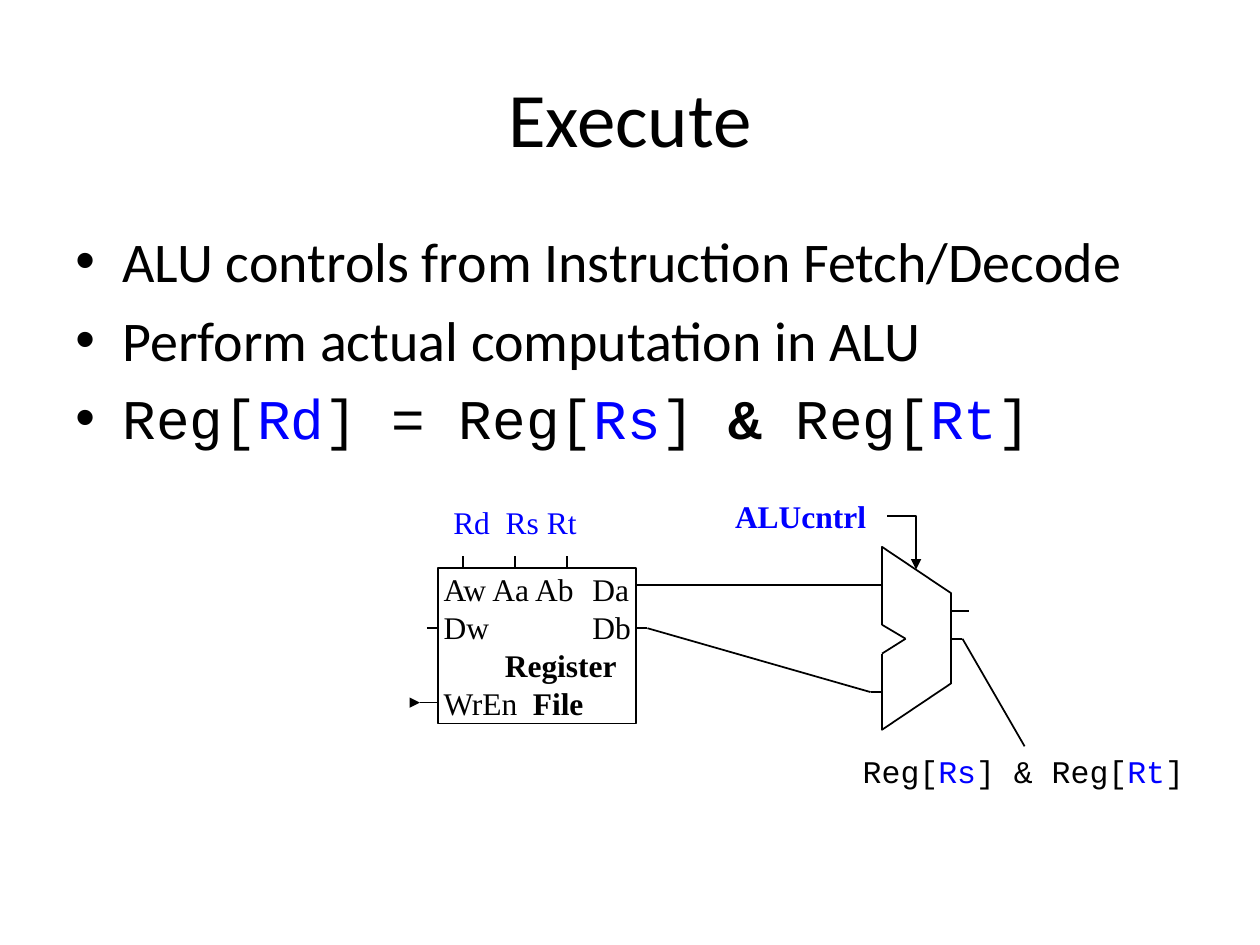
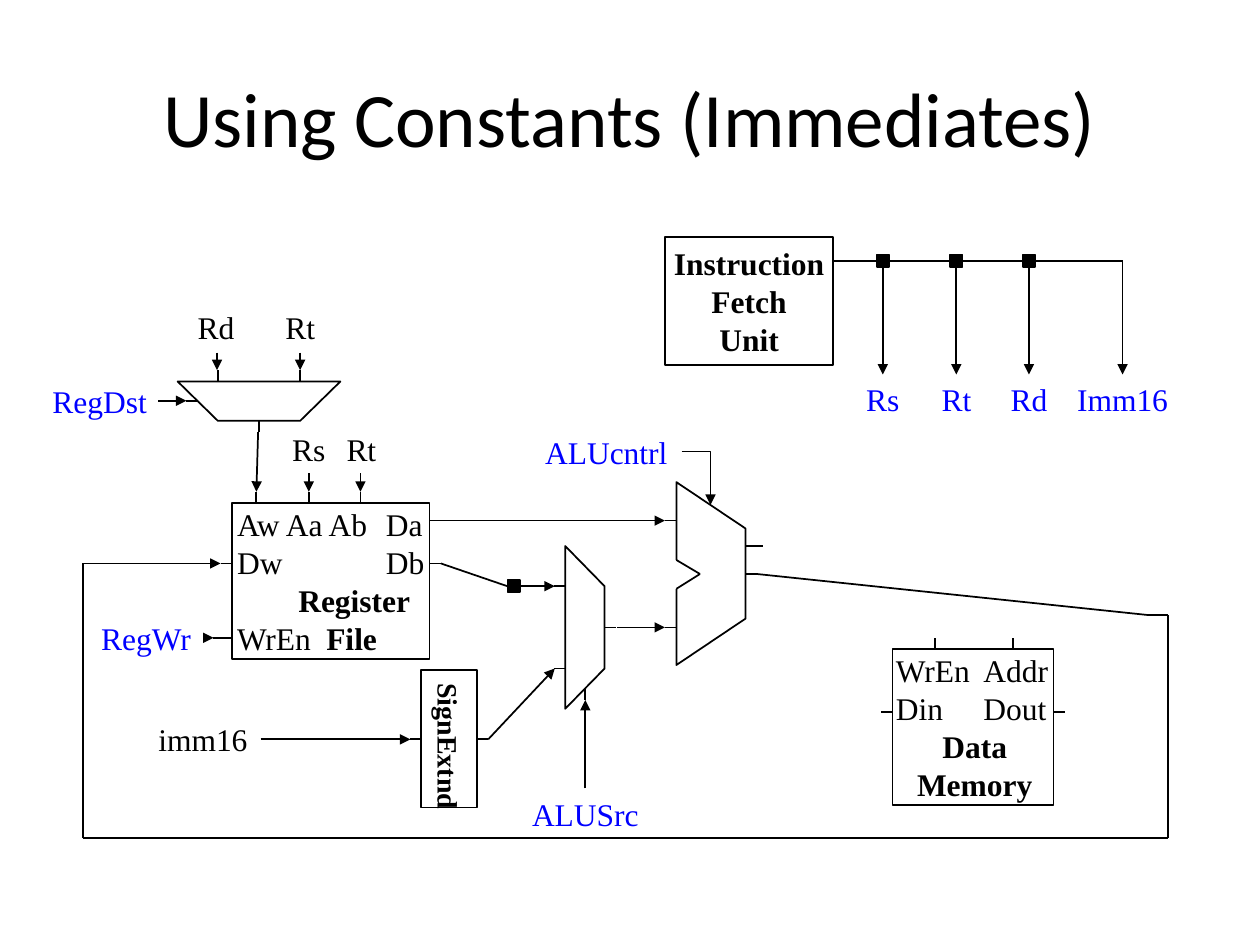
from itertools import pairwise

from pptx import Presentation
from pptx.dml.color import RGBColor
from pptx.enum.shapes import MSO_CONNECTOR as LINK, MSO_SHAPE as SHAPE
from pptx.enum.text import MSO_ANCHOR as ANCHOR, PP_ALIGN as ALIGN
from pptx.oxml.ns import qn
from pptx.util import Pt
from lxml.etree import SubElement

COLORS = {"ink": "000000", "signal": "0000FF", "paper": "FFFFFF"}
SERIF, SANS, MONO = "Times New Roman", "Calibri", "Courier New"

# Text styles of single runs
PLAIN = {}
BOLD = {"bold": True}
BLUE = {"color": "signal"}
BLUE_BOLD = BLUE | BOLD
CODE = {"name": MONO}
CODE_BLUE = CODE | BLUE
CODE_BOLD = CODE | BOLD

# Boxes: size, text lines as (tab stop or None for centred, runs), and pins;
# pins are (x1, y1, x2, y2) from the top left corner of the part
REGISTER_FILE = {
    "size": (113, 89),
    "left_margin": 3,
    "lines": [
        (85, [("Aw Aa Ab\tDa", PLAIN)]),
        (85, [("Dw\tDb", PLAIN)]),
        (35, [("\tRegister", BOLD)]),
        (51, [("WrEn\t", PLAIN), ("File", BOLD)]),
    ],
    "pins": [(x, 0, x, -6.5) for x in (14, 44, 73.5)] + [
        (113, 10, 119.5, 10), (113, 34.5, 119.5, 34.5),
        (-6.5, 34.5, 0, 34.5), (-10.5, 77, 0, 77),
    ],
}
DATA_MEMORY = {
    "size": (92, 89),
    "left_margin": 2,
    "lines": [
        (50, [("WrEn\tAddr", PLAIN)]),
        (50, [("Din\tDout", PLAIN)]),
        (None, [("Data", BOLD)]),
        (None, [("Memory", BOLD)]),
    ],
    "pins": [(24.5, 0, 24.5, -6.5), (69, 0, 69, -6.5),
             (-6.5, 36, 0, 36), (92, 36, 98.5, 36)],
}
FETCH_UNIT = {
    "size": (96, 73),
    "lines": [(None, [(word, BOLD)]) for word in ("Instruction", "Fetch", "Unit")],
    "pins": [(96, 13.5, 102.5, 13.5)],
}
SIGN_EXTEND = {
    "size": (32, 78.5),
    "top_margin": 7.5,
    "lines": [(None, [("SignExtnd", BOLD)])],
    "pins": [(-6, 39.5, 0, 39.5), (32, 39.5, 38.5, 39.5)],
    "font_size": 16,
    "vertical": True,
}

# Outlined parts
ALU = {
    "outline": [(0, 0), (39.5, 26.5), (39.5, 78), (0, 104.5)],
    "pins": [(-6.5, 22, 0, 22), (-6.5, 83, 0, 83),
             (39.5, 52.5, 46, 52.5), (39.5, 36.5, 49.5, 36.5)],
}
MUX = {
    "outline": [(0, 0), (22.5, 23), (22.5, 70), (0, 93)],
    "pins": [(22.5, 46.5, 29, 46.5), (-6.5, 23, 0, 23), (-6.5, 70, 0, 70)],
}
MUX_DOWN = {
    "outline": [(y, x) for x, y in MUX["outline"]],
    "pins": [(y1, x1, y2, x2) for x1, y1, x2, y2 in MUX["pins"]],
}
ALU_CONTROL = ((3, -17.5), (19.5, 13))
ALU_NOTCH = ((0, 44.5), (13.5, 52.5), (0, 61))

BULLETS = [
    [("ALU controls from Instruction Fetch/Decode", PLAIN)],
    [("Perform actual computation in ALU", PLAIN)],
    [("Reg[", CODE), ("Rd", CODE_BLUE), ("] = Reg[", CODE), ("Rs", CODE_BLUE),
     ("]", CODE), (" & ", CODE_BOLD), ("Reg[", CODE), ("Rt", CODE_BLUE), ("]", CODE)],
]
RESULT = [("Reg[", CODE), ("Rs", CODE_BLUE), ("] & Reg[", CODE),
          ("Rt", CODE_BLUE), ("]", CODE)]

# Bus of the fetch unit: field name, x of its tap, label width
BUS_Y, TAP_END = 149, 214
FIELDS = [("Rs", 504.5, 34), ("Rt", 546.5, 32), ("Rd", 588, 35), ("Imm16", 641.5, 66)]
BUS_STOPS = [482.5] + [x for _, x, _ in FIELDS[:-1]] + [631.5, FIELDS[-1][1]]

SLIDES = [
    {
        "title": "Execute",
        "boxes": [(REGISTER_FILE, 250.5, 324.5)],
        "outlined": [(ALU, 504, 312.5)],
        "wires": [
            [(370, 334.5), (497.5, 334.5)],
            [(370, 359), (497.5, 395.5)],
            [(585.5, 426.5), (550, 365)],
        ],
        "arrows": [[(234.5, 401.5), (240, 401.5)]],
        "dots": [],
        # text, centre x, top, width, style
        "labels": [("ALUcntrl", 457.5, 280.5, 90, BLUE_BOLD)],
    },
    {
        "title": "Using Constants (Immediates)",
        "boxes": [(REGISTER_FILE, 132.5, 287.5), (DATA_MEMORY, 510, 371),
                  (FETCH_UNIT, 380, 135.5), (SIGN_EXTEND, 240.5, 383)],
        "outlined": [(ALU, 386.5, 275.5), (MUX, 323, 312), (MUX_DOWN, 101.5, 218)],
        "wires": [
            [(334.5, 393.5), (334.5, 400)],
            [(106.5, 229), (113, 229)],
            [(x, BUS_Y) for x in BUS_STOPS],
        ],
        "arrows": [
            [(279, 422.5), (317, 382)],
            [(352.5, 358.5), (380, 358.5)],
            [(432.5, 328), (656.5, 351.5), (667.5, 351.5), (667.5, 479), (656.5, 479),
             (58.5, 479), (47.5, 479), (47.5, 322), (58.5, 322), (126, 322)],
            [(149, 422.5), (234.5, 422.5)],
            [(252, 322), (290, 335), (317, 335)],
            [(252, 297.5), (380, 297.5)],
            [(147.5, 247), (146.5, 281)],
            [(176.5, 270.5), (176.5, 281)],
            [(206, 270.5), (206, 281)],
            [(124, 201.5), (124, 211.5)],
            [(171.5, 201.5), (171.5, 211.5)],
            [(334.5, 450.5), (334.5, 400)],
            [(90.5, 229), (106.5, 229)],
            [(116.5, 364.5), (122, 364.5)],
        ] + [[(x, BUS_Y), (x, TAP_END)] for _, x, _ in FIELDS],
        "dots": [(293.5, 335)] + [(x, BUS_Y) for _, x, _ in FIELDS[:-1]],
        "labels": [
            ("Rs", 176.5, 242, 34, PLAIN), ("Rt", 206.5, 242, 32, PLAIN),
            ("Rd", 123.5, 172.5, 35, PLAIN), ("Rt", 171.5, 172.5, 32, PLAIN),
            ("imm16", 116, 408, 66, PLAIN), ("ALUSrc", 334.5, 450.5, 76, BLUE),
            ("RegDst", 57, 214.5, 68, BLUE), ("RegWr", 83.5, 350, 66, BLUE),
            ("ALUcntrl", 346.5, 244, 84, BLUE),
        ] + [(name, x, TAP_END - 0.5, width, BLUE) for name, x, width in FIELDS],
    },
]


def rgb(name):
    return RGBColor.from_string(COLORS[name])


def add_runs(paragraph, runs, size, name=SERIF):
    for text, style in runs:
        run = paragraph.add_run()
        run.text = text
        font = {"name": name, "size": Pt(size), "bold": False, "color": "ink"} | style
        run.font.color.rgb = rgb(font.pop("color"))
        for key, value in font.items():
            setattr(run.font, key, value)


def set_tab(paragraph, position):
    stops = SubElement(paragraph._p.get_or_add_pPr(), qn("a:tabLst"))
    SubElement(stops, qn("a:tab"), pos=str(Pt(position)), algn="l")


def paragraphs(frame, count):
    return [frame.paragraphs[0]] + [frame.add_paragraph() for _ in range(count - 1)]


def paint(shape, fill="paper"):
    shape.shadow.inherit = False
    shape.fill.solid()
    shape.fill.fore_color.rgb = rgb(fill)
    shape.line.color.rgb = rgb("ink")
    shape.line.width = Pt(1)


def add_line(slide, start, end, arrow=False, bent=False, color="ink", width=1):
    kind = LINK.ELBOW if bent else LINK.STRAIGHT
    line = slide.shapes.add_connector(kind, *map(Pt, (*start, *end)))
    line.line.color.rgb = rgb(color)
    line.line.width = Pt(width)
    properties = line._element.spPr
    if bent:
        properties.find(qn("a:prstGeom")).set("prst", "bentConnector2")
    if arrow:
        SubElement(line.line._get_or_add_ln(), qn("a:tailEnd"), type="triangle")
    SubElement(properties, qn("a:effectLst"))


def add_route(slide, points, arrow=False):
    """Join the points by straight lines, with an arrowhead on the last one."""
    for start, end in pairwise(points):
        add_line(slide, start, end, arrow and end == points[-1])


def add_pins(slide, part, x, y):
    for x1, y1, x2, y2 in part["pins"]:
        add_line(slide, (x + x1, y + y1), (x + x2, y + y2))


def add_outlined(slide, part, x, y):
    first, *rest = [(Pt(x + dx), Pt(y + dy)) for dx, dy in part["outline"]]
    builder = slide.shapes.build_freeform(*first)
    builder.add_line_segments(rest, close=True)
    paint(builder.convert_to_shape())
    if part is ALU:
        notch, control = [[(x + dx, y + dy) for dx, dy in points]
                          for points in (ALU_NOTCH, ALU_CONTROL)]
        add_line(slide, notch[0], notch[-1], color="paper", width=2.25)
        add_route(slide, notch)
        add_line(slide, *control, arrow=True, bent=True)
    add_pins(slide, part, x, y)


def add_box(slide, part, x, y):
    box = slide.shapes.add_shape(SHAPE.RECTANGLE, *map(Pt, (x, y, *part["size"])))
    paint(box)
    frame = box.text_frame
    frame.margin_left = Pt(part.get("left_margin", 0))
    frame.margin_top = Pt(part.get("top_margin", 0))
    frame.margin_right = frame.margin_bottom = Pt(0)
    frame.vertical_anchor = ANCHOR.MIDDLE
    frame.word_wrap = not part.get("vertical", False)
    if part.get("vertical"):
        frame._txBody.bodyPr.set("vert", "eaVert")
    lines = part["lines"]
    for paragraph, (tab, runs) in zip(paragraphs(frame, len(lines)), lines):
        paragraph.alignment = ALIGN.CENTER if tab is None else ALIGN.LEFT
        if tab is not None:
            set_tab(paragraph, tab)
        add_runs(paragraph, runs, part.get("font_size", 18))
    add_pins(slide, part, x, y)


def add_label(slide, runs, x, y, width, align=ALIGN.CENTER, tab=None):
    frame = slide.shapes.add_textbox(*map(Pt, (x, y, width, 29))).text_frame
    frame.word_wrap = False
    frame.margin_left = frame.margin_right = Pt(0)
    paragraph = frame.paragraphs[0]
    paragraph.alignment = align
    if tab:
        set_tab(paragraph, tab)
    add_runs(paragraph, runs, 18)


def add_bullets(slide):
    frame = slide.shapes.add_textbox(*map(Pt, (36, 126, 648, 156))).text_frame
    frame.word_wrap = True
    for index, (paragraph, runs) in enumerate(zip(paragraphs(frame, len(BULLETS)), BULLETS)):
        properties = paragraph._p.get_or_add_pPr()
        properties.set("marL", str(Pt(27)))
        properties.set("indent", str(Pt(-27)))
        SubElement(properties, qn("a:buFont"), typeface="Arial")
        SubElement(properties, qn("a:buChar"), char="•")
        if index:
            paragraph.space_before = Pt(6.4)
        add_runs(paragraph, runs, 32, SANS)


def add_slide(deck, content):
    slide = deck.slides.add_slide(deck.slide_layouts[5])
    title = slide.shapes.title
    title.left, title.top, title.width, title.height = map(Pt, (36, 21.6, 648, 90))
    title.text_frame.vertical_anchor = ANCHOR.MIDDLE
    heading = title.text_frame.paragraphs[0]
    heading.alignment = ALIGN.CENTER
    add_runs(heading, [(content["title"], PLAIN)], 44, SANS)

    for part, x, y in content["outlined"]:
        add_outlined(slide, part, x, y)
    for part, x, y in content["boxes"]:
        add_box(slide, part, x, y)
    for points in content["wires"]:
        add_route(slide, points)
    for points in content["arrows"]:
        add_route(slide, points, arrow=True)
    for x, y in content["dots"]:
        dot = slide.shapes.add_shape(SHAPE.RECTANGLE, *map(Pt, (x - 3.5, y - 3.5, 7, 7)))
        paint(dot, "ink")
    for text, centre, top, width, style in content["labels"]:
        add_label(slide, [(text, style)], centre - width / 2, top, width)
    return slide


def main():
    deck = Presentation()
    deck.slide_width, deck.slide_height = Pt(720), Pt(540)
    execute, _ = [add_slide(deck, content) for content in SLIDES]
    add_bullets(execute)
    add_label(execute, [("Rd\tRs Rt", BLUE)], 259, 284, 74, ALIGN.LEFT, tab=30)
    add_label(execute, RESULT, 493, 426, 185, ALIGN.LEFT)
    deck.save("out.pptx")


if __name__ == "__main__":
    main()
